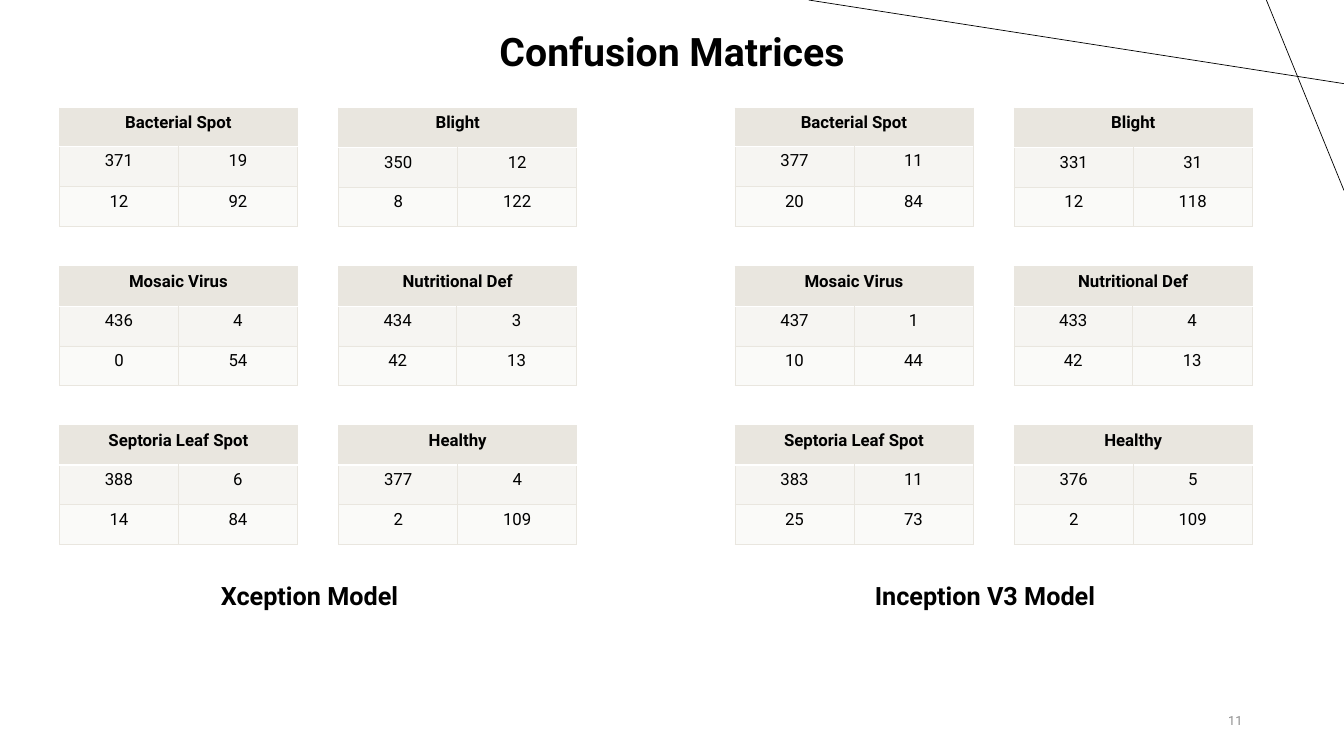
from lxml.etree import SubElement
from pptx import Presentation
from pptx.dml.color import RGBColor
from pptx.enum.shapes import MSO_CONNECTOR
from pptx.enum.text import MSO_ANCHOR, PP_ALIGN
from pptx.oxml.ns import qn
from pptx.util import Inches, Pt

BLACK = RGBColor(0x00, 0x00, 0x00)
GREY = RGBColor(0x8C, 0x8C, 0x8C)
SAND = RGBColor(0xE9, 0xE6, 0xDF)
WHITE = RGBColor(0xFF, 0xFF, 0xFF)
FONT = "Roboto"

# Grid of the matrices, in inches
LEFT, TOP = 0.59, 1.07
COLUMN_STEP, ROW_STEP, MODEL_STEP = 2.77, 1.575, 6.7
MATRIX_WIDTH, MATRIX_HEIGHT = 2.36, 1.18
ROW_OPACITY = [100, 40, 20]

CLASSES = ["Bacterial Spot", "Blight", "Mosaic Virus",
           "Nutritional Def", "Septoria Leaf Spot", "Healthy"]
MODELS = {
    "Xception Model": [
        [[371, 19], [12, 92]], [[350, 12], [8, 122]],
        [[436, 4], [0, 54]], [[434, 3], [42, 13]],
        [[388, 6], [14, 84]], [[377, 4], [2, 109]],
    ],
    "Inception V3 Model": [
        [[377, 11], [20, 84]], [[331, 31], [12, 118]],
        [[437, 1], [10, 44]], [[433, 4], [42, 13]],
        [[383, 11], [25, 73]], [[376, 5], [2, 109]],
    ],
}
ROW_HEIGHTS = {"Bacterial Spot": [0.38, 0.4, 0.4]}
COLUMN_WIDTHS = {"Nutritional Def": [1.17, 1.19]}

prs = Presentation()
prs.slide_width, prs.slide_height = Inches(13.33), Inches(7.5)
slide = prs.slides.add_slide(prs.slide_layouts[6])


def write(frame, text, size, bold=False, color=BLACK, align=PP_ALIGN.CENTER):
    frame.text = text
    paragraph = frame.paragraphs[0]
    paragraph.alignment = align
    font = paragraph.runs[0].font
    font.name, font.size, font.bold = FONT, Pt(size), bold
    font.color.rgb = color


def style_cell(cell, row):
    """Give a cell its borders and its translucent fill."""
    properties = cell._tc.get_or_add_tcPr()
    for side in "LRTB":
        under_header = (row, side) in [(0, "B"), (1, "T")]
        width, color = (Pt(1), WHITE) if under_header else (Pt(0.5), SAND)
        border = SubElement(properties, qn(f"a:ln{side}"), w=str(width))
        paint = SubElement(border, qn("a:solidFill"))
        SubElement(paint, qn("a:srgbClr"), val=str(color))
    cell.fill.solid()
    cell.fill.fore_color.rgb = SAND
    if ROW_OPACITY[row] < 100:
        fill_color = properties.find(qn("a:solidFill")).find(qn("a:srgbClr"))
        SubElement(fill_color, qn("a:alpha"), val=str(ROW_OPACITY[row] * 1000))


# Corner lines
for x1, y1, x2, y2 in [(13.33, 0.83, 8.02, 0), (12.56, 0, 13.33, 1.89)]:
    corner_line = slide.shapes.add_connector(
        MSO_CONNECTOR.STRAIGHT, Inches(x1), Inches(y1), Inches(x2), Inches(y2))
    corner_line.line.color.rgb = BLACK
    corner_line.line.width = Pt(0.5)
    SubElement(corner_line._element.spPr, qn("a:effectLst"))

# Title, model captions and page number
labels = [("Confusion Matrices", 3.9, 0.22, 5.53, 0.57, 28)]
for model_index, model in enumerate(MODELS):
    labels.append((model, 0.99 + model_index * MODEL_STEP, 5.71, 4.16, 0.4, 18))
for text, x, y, width, height, size in labels:
    label = slide.shapes.add_textbox(Inches(x), Inches(y), Inches(width), Inches(height))
    label.text_frame.word_wrap = True
    write(label.text_frame, text, size, bold=True)

page_number = slide.shapes.add_textbox(Inches(9.42), Inches(6.95), Inches(3), Inches(0.4))
page_number.text_frame.word_wrap = True
page_number.text_frame.vertical_anchor = MSO_ANCHOR.MIDDLE
write(page_number.text_frame, "11", 9, color=GREY, align=PP_ALIGN.RIGHT)

# Confusion matrices, two columns by three rows for each model
for model_index, matrices in enumerate(MODELS.values()):
    for index, (disease, counts) in enumerate(zip(CLASSES, matrices)):
        grid_row, grid_column = divmod(index, 2)
        x = LEFT + model_index * MODEL_STEP + grid_column * COLUMN_STEP
        y = TOP + grid_row * ROW_STEP
        matrix = slide.shapes.add_table(
            3, 2, Inches(x), Inches(y), Inches(MATRIX_WIDTH), Inches(MATRIX_HEIGHT)).table
        heights = ROW_HEIGHTS.get(disease, [MATRIX_HEIGHT / 3] * 3)
        for row, height in zip(matrix.rows, heights):
            row.height = Inches(height)
        widths = COLUMN_WIDTHS.get(disease, [MATRIX_WIDTH / 2] * 2)
        for column, width in zip(matrix.columns, widths):
            column.width = Inches(width)

        for row in range(3):
            for column in range(2):
                style_cell(matrix.cell(row, column), row)
        matrix.cell(0, 0).merge(matrix.cell(0, 1))
        write(matrix.cell(0, 0).text_frame, disease, 12, bold=True)
        for row, values in enumerate(counts, start=1):
            for column, value in enumerate(values):
                write(matrix.cell(row, column).text_frame, str(value), 12)

prs.save("out.pptx")
